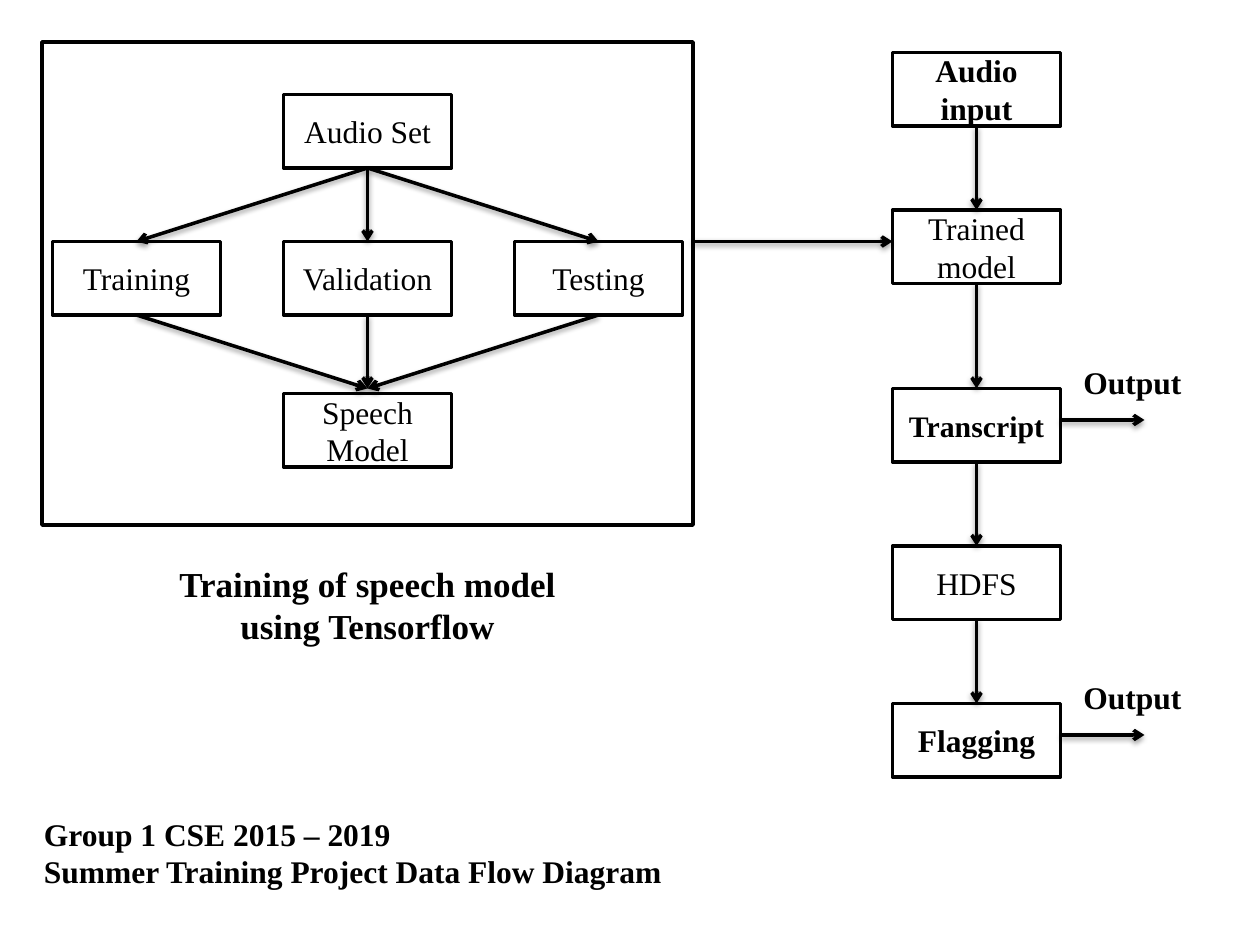
from pptx import Presentation
from pptx.dml.color import RGBColor
from pptx.enum.shapes import MSO_CONNECTOR, MSO_SHAPE
from pptx.enum.text import MSO_ANCHOR, MSO_AUTO_SIZE, PP_ALIGN
from pptx.oxml import parse_xml
from pptx.oxml.ns import nsdecls
from pptx.util import Inches, Pt

SHADE = (
    '<a:effectLst %s><a:outerShdw blurRad="40000" dist="20000" dir="5400000" '
    'rotWithShape="0"><a:srgbClr val="000000"><a:alpha val="38000"/>'
    '</a:srgbClr></a:outerShdw></a:effectLst>' % nsdecls("a")
)
HEAD = '<a:tailEnd %s type="arrow"/>' % nsdecls("a")


def color(code):
    return RGBColor.from_string(code)


def write(frame, text, size=18, bold=False, align=PP_ALIGN.LEFT, ink="000000", font="Times New Roman"):
    frame.word_wrap = True
    for i, line in enumerate(text.split("\n")):
        para = frame.paragraphs[0] if i == 0 else frame.add_paragraph()
        para.alignment = align
        run = para.add_run()
        run.text = line
        run.font.size = Pt(size)
        run.font.bold = bold
        run.font.name = font
        run.font.color.rgb = color(ink)


class Chart:
    unit = Inches(1) / 12
    ink = "000000"
    fill = "FFFFFF"
    weight = 2
    wide, high = 16, 7

    def __init__(self, slide):
        self.slide = slide

    def cells(self, *nums):
        return [round(n * self.unit) for n in nums]

    def stroke(self, line):
        line.color.rgb = color(self.ink)
        line.width = Pt(self.weight)

    def box(self, col, row, text="", wide=wide, high=high, **style):
        shape = self.slide.shapes.add_shape(MSO_SHAPE.RECTANGLE, *self.cells(col, row, wide, high))
        shape.shadow.inherit = False
        shape.fill.solid()
        shape.fill.fore_color.rgb = color(self.fill)
        self.stroke(shape.line)
        if text:
            shape.text_frame.vertical_anchor = MSO_ANCHOR.MIDDLE
            write(shape.text_frame, text, align=PP_ALIGN.CENTER, **style)

    def label(self, col, row, wide, high, text, **style):
        frame = self.slide.shapes.add_textbox(*self.cells(col, row, wide, high)).text_frame
        write(frame, text, bold=True, **style)
        frame.auto_size = MSO_AUTO_SIZE.SHAPE_TO_FIT_TEXT

    def arrow(self, start, end):
        link = self.slide.shapes.add_connector(MSO_CONNECTOR.STRAIGHT, *self.cells(*start, *end))
        self.stroke(link.line)
        link.line._get_or_add_ln().append(parse_xml(HEAD))
        link._element.spPr.append(parse_xml(SHADE))


deck = Presentation()
deck.slide_width, deck.slide_height = Inches(10), Inches(7.5)
chart = Chart(deck.slides.add_slide(deck.slide_layouts[6]))
half = chart.wide / 2

chart.box(4, 4, wide=62, high=46)
chart.box(27, 9, "Audio Set")
chart.box(27, 37.5, "Speech Model")
splits = {5: "Training", 27: "Validation", 49: "Testing"}
for col, name in splits.items():
    chart.box(col, 23, name)

side = 85
steps = [
    (5, "Audio input", 18, True),
    (20, "Trained model", 18, False),
    (37, "Transcript", 17, True),
    (52, "HDFS", 18, False),
    (67, "Flagging", 18, True),
]
for row, name, size, bold in steps:
    chart.box(side, row, name, size=size, bold=bold)

chart.arrow((66, 23), (side, 23))
for above, below in zip(steps, steps[1:]):
    chart.arrow((side + half, above[0] + chart.high), (side + half, below[0]))

hub = 27 + half
for col in splits:
    chart.arrow((hub, 16), (col + half, 23))
    chart.arrow((col + half, 30), (hub, 37))

for row in (37, 67):
    chart.arrow((side + chart.wide, row + 3), (109, row + 3))
    chart.label(102, row - 3, 13, 4.85, "Output")

chart.label(15, 53, 40, 9.29, "Training of speech model using Tensorflow", size=20, align=PP_ALIGN.CENTER)
chart.label(3, 77, 64, 8.48, "Group 1 CSE 2015 – 2019\nSummer Training Project Data Flow Diagram")

deck.save("out.pptx")
